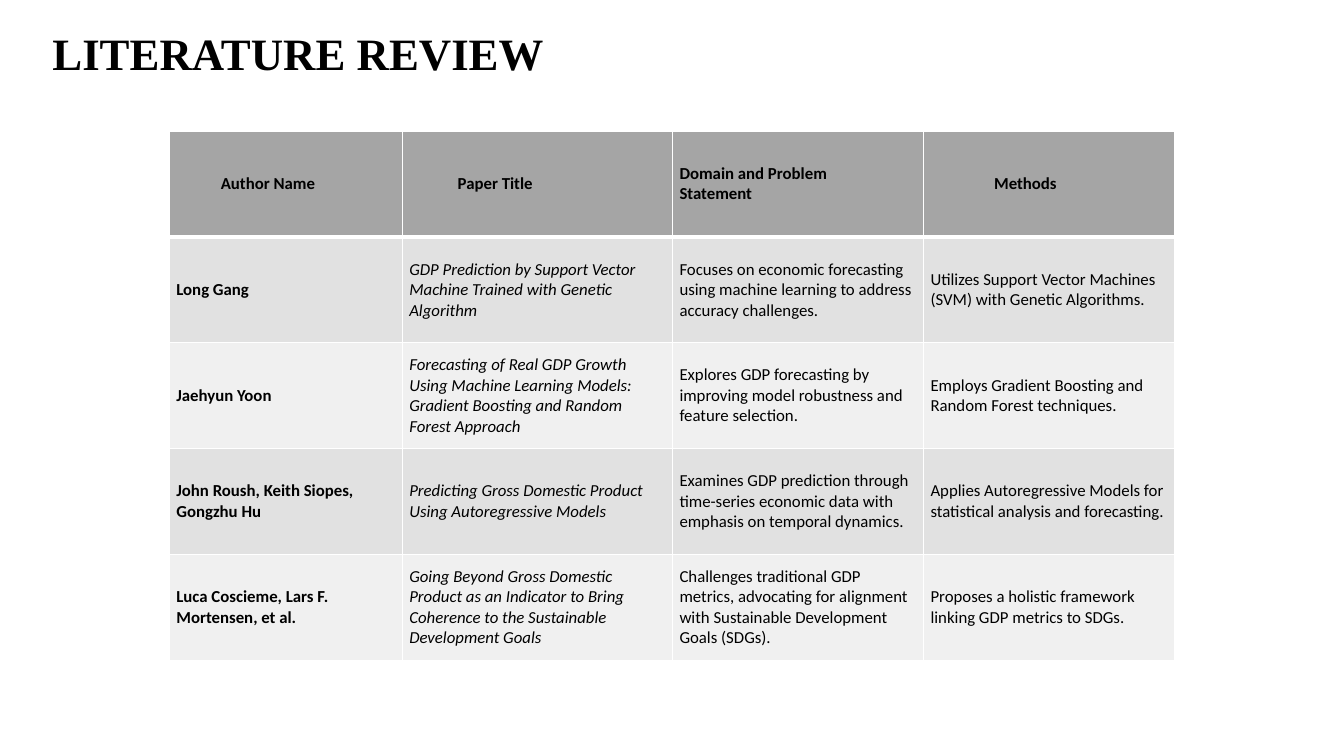
from lxml import etree
from pptx import Presentation
from pptx.dml.color import RGBColor
from pptx.enum.text import MSO_ANCHOR, MSO_AUTO_SIZE, PP_ALIGN
from pptx.oxml.ns import qn
from pptx.util import Inches, Pt

COLORS = {
    "text": "000000",
    "header": "A5A5A5",
    "odd_row": "E1E1E1",
    "even_row": "F0F0F0",
    "border": "FFFFFF",
}
COLUMN_WIDTHS = [2.31, 2.68, 2.49, 2.49]
ROW_HEIGHT = 1.05
SIDE_MARGIN, EDGE_MARGIN = 0.07, 0.03
# Left and right margins that place each heading in its column
HEADER_MARGINS = [(0.51, 0.07), (0.55, 0.07), (0.07, 0.6), (0.7, 0.07)]
ROWS = [
    ["Author Name", "Paper Title", "Domain and Problem Statement", "Methods"],
    ["Long Gang",
     "GDP Prediction by Support Vector Machine Trained with Genetic Algorithm",
     "Focuses on economic forecasting using machine learning to address accuracy challenges.",
     "Utilizes Support Vector Machines (SVM) with Genetic Algorithms."],
    ["Jaehyun Yoon",
     "Forecasting of Real GDP Growth Using Machine Learning Models: "
     "Gradient Boosting and Random Forest Approach",
     "Explores GDP forecasting by improving model robustness and feature selection.",
     "Employs Gradient Boosting and Random Forest techniques."],
    ["John Roush, Keith Siopes, Gongzhu Hu",
     "Predicting Gross Domestic Product Using Autoregressive Models",
     "Examines GDP prediction through time-series economic data "
     "with emphasis on temporal dynamics.",
     "Applies Autoregressive Models for statistical analysis and forecasting."],
    ["Luca Coscieme, Lars F. Mortensen, et al.",
     "Going Beyond Gross Domestic Product as an Indicator to Bring Coherence "
     "to the Sustainable Development Goals",
     "Challenges traditional GDP metrics, advocating for alignment "
     "with Sustainable Development Goals (SDGs).",
     "Proposes a holistic framework linking GDP metrics to SDGs."],
]


def format_font(font, **values):
    """Set the text colour and the given font attributes."""
    font.color.rgb = RGBColor.from_string(COLORS["text"])
    for name, value in values.items():
        setattr(font, name, value)


def set_borders(cell, widths):
    """Draw cell borders; widths maps L, R, T, B (in that order) to points."""
    properties = cell._tc.get_or_add_tcPr()
    for position, (side, width) in enumerate(widths.items()):
        line = etree.Element(qn(f"a:ln{side}"), w=str(Pt(width)))
        fill = etree.SubElement(line, qn("a:solidFill"))
        etree.SubElement(fill, qn("a:srgbClr"), val=COLORS["border"])
        properties.insert(position, line)


presentation = Presentation()
presentation.slide_width = Inches(13.33)
presentation.slide_height = Inches(7.5)
slide = presentation.slides.add_slide(presentation.slide_layouts[5])

title = slide.shapes.title
title.left, title.top = Inches(0.42), Inches(0.2)
title.width, title.height = Inches(5.23), Inches(0.64)
title_frame = title.text_frame
title_frame.text = "LITERATURE REVIEW"
title_frame.word_wrap = True
title_frame.auto_size = MSO_AUTO_SIZE.NONE
title_frame.vertical_anchor = MSO_ANCHOR.TOP
title_paragraph = title_frame.paragraphs[0]
title_paragraph.alignment = PP_ALIGN.LEFT
format_font(title_paragraph.runs[0].font, name="Times New Roman", size=Pt(32), bold=True)

table = slide.shapes.add_table(
    len(ROWS), len(COLUMN_WIDTHS), Inches(1.68), Inches(1.3),
    Inches(sum(COLUMN_WIDTHS)), Inches(ROW_HEIGHT * len(ROWS))).table
for column, width in zip(table.columns, COLUMN_WIDTHS):
    column.width = Inches(width)

for row_index, texts in enumerate(ROWS):
    table.rows[row_index].height = Inches(ROW_HEIGHT)
    is_header = row_index == 0
    fill_name = "header" if is_header else "odd_row" if row_index % 2 else "even_row"
    for column_index, text in enumerate(texts):
        cell = table.cell(row_index, column_index)
        cell.text = text
        cell.vertical_anchor = MSO_ANCHOR.MIDDLE
        left, right = HEADER_MARGINS[column_index] if is_header else (SIDE_MARGIN, SIDE_MARGIN)
        cell.margin_left, cell.margin_right = Inches(left), Inches(right)
        cell.margin_top = cell.margin_bottom = Inches(EDGE_MARGIN)
        cell.fill.solid()
        cell.fill.fore_color.rgb = RGBColor.from_string(COLORS[fill_name])
        set_borders(cell, {"L": 1, "R": 1,
                           "T": 3 if row_index == 1 else 1,
                           "B": 3 if is_header else 1})
        format_font(cell.text_frame.paragraphs[0].runs[0].font,
                    name="Calibri", size=Pt(12),
                    bold=is_header or column_index == 0,
                    italic=not is_header and column_index == 1)

presentation.save("out.pptx")
